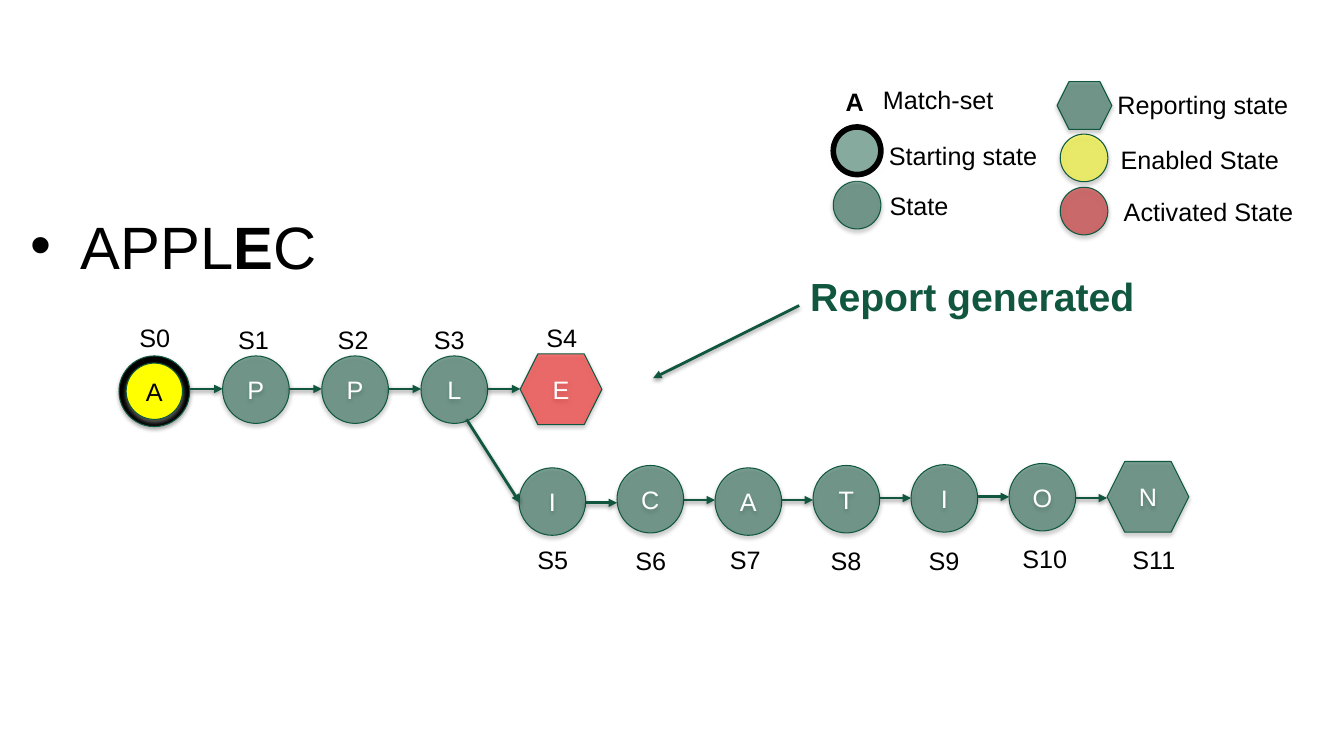
import lxml.etree
import pptx
import pptx.dml.color
import pptx.enum.shapes
import pptx.enum.text
import pptx.oxml.ns
import pptx.util

Cm = pptx.util.Cm
Pt = pptx.util.Pt
SHAPES = pptx.enum.shapes.MSO_SHAPE
ALIGN = pptx.enum.text.PP_ALIGN

GREEN, EDGE, BLACK, WHITE = "115740", "0F573F", "000000", "FFFFFF"
YELLOW, RED = "FFFF00", "FF0000"

INPUT_RUNS = [("APPL", False), ("E", True), ("C", False)]
REPORT = "Report generated"
REPORT_ARROW = (20.14, 7.7, 16.46, 9.53)

# kind, left, top, width, fill, line colour, line width, shadow colour
LEGEND_MARKS = [
    (SHAPES.OVAL, 21.0, 4.57, 1.2, GREEN, EDGE, 0.75, BLACK),
    (SHAPES.OVAL, 21.0, 3.2, 1.2, GREEN, BLACK, 4, WHITE),
    (SHAPES.HEXAGON, 26.64, 2.06, 1.38, GREEN, EDGE, 0.75, BLACK),
    (SHAPES.OVAL, 26.72, 3.38, 1.2, YELLOW, EDGE, 0.75, BLACK),
    (SHAPES.OVAL, 26.72, 4.72, 1.2, "C00000", EDGE, 0.75, BLACK),
]
LEGEND_TEXTS = [
    ("A", 21.06, 2.06, 0.97, True),
    ("Match-set", 22.0, 2.01, 3.33, False),
    ("Starting state", 22.15, 3.4, 4.29, False),
    ("State", 22.17, 4.67, 2.01, False),
    ("Reporting state", 27.91, 2.13, 4.85, False),
    ("Enabled State", 27.99, 3.51, 4.55, False),
    ("Activated State", 28.07, 4.83, 4.83, False),
]

# letter, top, fill, label, label centre, label top, height of incoming arrow
UPPER_STATES = [
    ("P", 8.97, GREEN, "S1", 6.39, 8.05, 9.8),
    ("P", 8.97, GREEN, "S2", 8.9, 8.05, 9.8),
    ("L", 8.97, GREEN, "S3", 11.32, 8.05, 9.8),
    ("E", 8.92, RED, "S4", 14.16, 8.0, 9.8),
]
LOWER_STATES = [
    ("I", 11.79, GREEN, "S5", 13.93, 13.6, None),
    ("C", 11.73, GREEN, "S6", 16.4, 13.61, 12.67),
    ("A", 11.79, GREEN, "S7", 18.78, 13.59, 12.6),
    ("T", 11.73, GREEN, "S8", 21.32, 13.61, 12.6),
    ("I", 11.71, GREEN, "S9", 23.79, 13.61, 12.55),
    ("O", 11.68, GREEN, "S10", 26.33, 13.56, 12.52),
    ("N", 11.63, GREEN, "S11", 29.08, 13.59, 12.55),
]
CHAINS = [(UPPER_STATES, 5.61, 2.5, 4.78), (LOWER_STATES, 13.08, 2.47, None)]
BRANCH = (11.76, 10.57, 13.1, 12.67)
STATE_WIDTH, STATE_HEIGHT = 1.68, 1.7
HEXAGON_WIDTH, HEXAGON_HEIGHT = 2.06, 1.78
LABEL_WIDTH, LABEL_HEIGHT = 1.7, 1.03


def rgb(value):
    return pptx.dml.color.RGBColor.from_string(value)


def add_element(parent, tag, **attributes):
    name = pptx.oxml.ns.qn("a:" + tag)
    return lxml.etree.SubElement(parent, name, {k: str(v) for k, v in attributes.items()})


def style_font(paragraph, color, size=18, bold=False):
    paragraph.font.name = "Arial"
    paragraph.font.size = Pt(size)
    paragraph.font.bold = bold
    paragraph.font.color.rgb = rgb(color)


def add_shadow(shape, color, opacity, distance):
    effects = add_element(shape._element.spPr, "effectLst")
    shadow = add_element(effects, "outerShdw", blurRad=Pt(3.1), dist=Pt(distance),
                         dir=5400000, rotWithShape=0)
    add_element(add_element(shadow, "srgbClr", val=color), "alpha", val=opacity * 1000)


def add_mark(shapes, kind, box, fill, line=EDGE, line_width=0.75, shadow=BLACK,
             opacity=50, text="", text_color=WHITE):
    shape = shapes.add_shape(kind, *map(Cm, box))
    shape.fill.solid()
    shape.fill.fore_color.rgb = rgb(fill)
    if opacity < 100:
        color = shape._element.spPr.find(".//" + pptx.oxml.ns.qn("a:srgbClr"))
        add_element(color, "alpha", val=opacity * 1000)
    shape.line.color.rgb = rgb(line)
    shape.line.width = Pt(line_width)
    add_shadow(shape, shadow, 35, 1.8)
    if text:
        shape.text_frame.vertical_anchor = pptx.enum.text.MSO_ANCHOR.MIDDLE
        paragraph = shape.text_frame.paragraphs[0]
        paragraph.text = text
        paragraph.alignment = ALIGN.CENTER
        style_font(paragraph, text_color)


def add_arrow(shapes, ends):
    arrow = shapes.add_connector(pptx.enum.shapes.MSO_CONNECTOR.STRAIGHT, *map(Cm, ends))
    arrow.line.color.rgb = rgb(GREEN)
    arrow.line.width = Pt(2)
    add_element(arrow.line._get_or_add_ln(), "tailEnd", type="triangle")
    add_shadow(arrow, BLACK, 38, 1.6)


def add_text(shapes, text, box, color=BLACK, size=18, bold=False, align=ALIGN.LEFT):
    frame = shapes.add_textbox(*map(Cm, box)).text_frame
    frame.word_wrap = False
    paragraph = frame.paragraphs[0]
    paragraph.text = text
    paragraph.alignment = align
    style_font(paragraph, color, size, bold)


def add_label(shapes, text, center, top):
    box = (center - LABEL_WIDTH / 2, top, LABEL_WIDTH, LABEL_HEIGHT)
    add_text(shapes, text, box, align=ALIGN.CENTER)


def add_chain(shapes, states, start, pitch, previous_right):
    for index, (letter, top, fill, label, center, label_top, arrow_y) in enumerate(states):
        left = start + index * pitch
        if arrow_y:
            add_arrow(shapes, (previous_right, arrow_y, left, arrow_y))
        if index == len(states) - 1:
            kind, size = SHAPES.HEXAGON, (HEXAGON_WIDTH, HEXAGON_HEIGHT)
        else:
            kind, size = SHAPES.OVAL, (STATE_WIDTH, STATE_HEIGHT)
        add_mark(shapes, kind, (left, top, *size), fill, text=letter)
        add_label(shapes, label, center, label_top)
        previous_right = left + STATE_WIDTH


def add_input(slide):
    slide.shapes.title._element.getparent().remove(slide.shapes.title._element)
    body = slide.placeholders[1]
    body.left, body.top, body.width, body.height = map(Cm, (0.51, 5.15, 30.48, 12.42))
    body.text_frame.auto_size = pptx.enum.text.MSO_AUTO_SIZE.NONE
    paragraph = body.text_frame.paragraphs[0]
    properties = paragraph._p.get_or_add_pPr()
    properties.set("marL", str(Cm(1.27)))
    properties.set("indent", str(-Cm(1.27)))
    add_element(properties, "buFont", typeface="Arial")
    add_element(properties, "buChar", char="•")
    paragraph.space_before = Pt(0)
    style_font(paragraph, BLACK, 42.7)
    for text, bold in INPUT_RUNS:
        run = paragraph.add_run()
        run.text = text
        run.font.bold = bold


def main():
    presentation = pptx.Presentation()
    presentation.slide_width, presentation.slide_height = Cm(33.87), Cm(19.05)
    slide = presentation.slides.add_slide(presentation.slide_layouts[1])
    add_input(slide)
    add_text(slide.shapes, REPORT, (20.17, 6.73, 8.79, 1.45), GREEN, 28, True)
    add_arrow(slide.shapes, REPORT_ARROW)

    legend = slide.shapes.add_group_shape().shapes
    for kind, left, top, width, *style in LEGEND_MARKS:
        add_mark(legend, kind, (left, top, width, 1.2), *style)
    for text, left, top, width, bold in LEGEND_TEXTS:
        add_text(legend, text, (left, top, width, LABEL_HEIGHT), bold=bold)

    automaton = slide.shapes.add_group_shape().shapes
    add_mark(automaton, SHAPES.OVAL, (3.0, 8.97, 1.78, 1.78), BLACK, opacity=100)
    add_mark(automaton, SHAPES.OVAL, (3.18, 9.15, 1.42, 1.42), YELLOW, shadow=WHITE,
             opacity=100, text="A", text_color=BLACK)
    add_label(automaton, "S0", 3.9, 8.0)
    for chain in CHAINS:
        add_chain(automaton, *chain)
    add_arrow(automaton, BRANCH)
    presentation.save("out.pptx")


if __name__ == "__main__":
    main()
